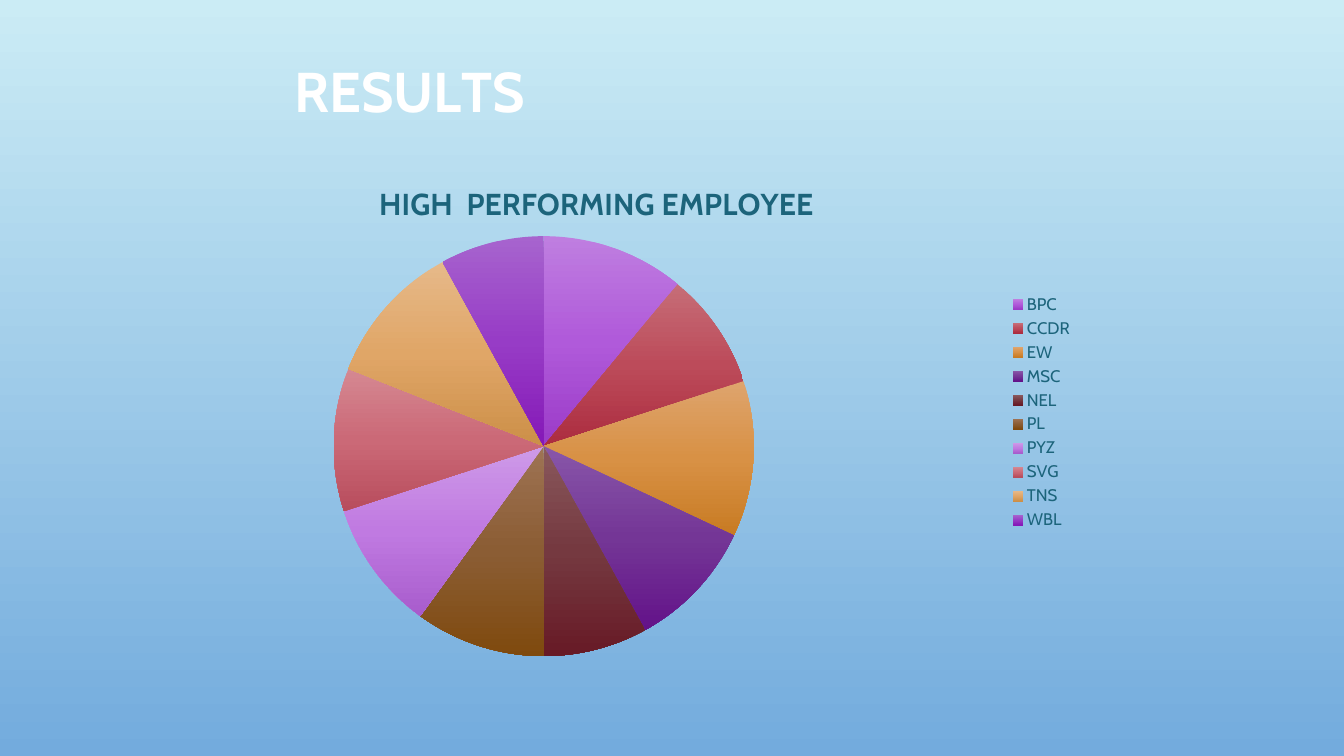
from copy import deepcopy
from typing import NamedTuple

from lxml import etree
from pptx import Presentation
from pptx.chart.data import CategoryChartData
from pptx.dml.color import RGBColor
from pptx.dml.fill import FillFormat
from pptx.enum import chart as ch, text
from pptx.oxml import parse_xml
from pptx.oxml.ns import nsdecls, qn
from pptx.util import Inches, Pt

FONT = "Cabin"
COLORS = {"title": "FFFFFF", "label": "1C647B", "sky": "CBECF5", "horizon": "73ABDD"}


class Slice(NamedTuple):
    name: str
    value: int
    gradient: tuple[str, str, str]


class Letters(NamedTuple):
    text: str
    spacing: float


SLICES = [
    Slice("BPC", 11, ("BF7EE0", "B05ADA", "9B3BC8")),
    Slice("CCDR", 9, ("C66D77", "BC4B5A", "AC2C3F")),
    Slice("EW", 12, ("DEA46D", "D89145", "C87B23")),
    Slice("MSC", 10, ("8856A9", "743696", "631289")),
    Slice("NEL", 8, ("89585C", "753940", "671A26")),
    Slice("PL", 10, ("9E7354", "8B5D34", "7F4A0E")),
    Slice("PYZ", 10, ("CE9AE8", "C07AE1", "A85CCC")),
    Slice("SVG", 11, ("D58892", "CB6977", "B84D5D")),
    Slice("TNS", 11, ("E6B989", "E0A667", "CC8F48")),
    Slice("WBL", 8, ("A764CE", "973CC6", "8518B7")),
]
HEADING = [Letters("R", 0), Letters("E", -0.4), Letters("S", 0.1),
           Letters("U", -0.3), Letters("L", -4), Letters("TS", 0)]


def style_font(font, size: float, color: str, bold: bool = False) -> None:
    font.name, font.size, font.bold = FONT, Pt(size), bold
    font.color.rgb = RGBColor.from_string(color)


def color_stops(fill: FillFormat, colors: tuple[str, ...]) -> None:
    """Spread the colours evenly, from top to bottom."""
    fill.gradient_angle = 270
    for i, (stop, color) in enumerate(zip(fill.gradient_stops, colors)):
        stop.position = i / (len(colors) - 1)
        stop.color.rgb = RGBColor.from_string(color)


def manual_layout(x: float, y: float, w: float = 0, h: float = 0) -> etree._Element:
    """Layout in fractions of the chart; without a size only the place is set."""
    target = '<c:layoutTarget val="inner"/>' if w else ""
    size = f'<c:w val="{w}"/><c:h val="{h}"/>' if w else ""
    return parse_xml(
        f'<c:layout {nsdecls("c")}><c:manualLayout>{target}<c:xMode val="edge"/>'
        f'<c:yMode val="edge"/><c:x val="{x}"/><c:y val="{y}"/>{size}'
        "</c:manualLayout></c:layout>")


def add_heading(slide) -> None:
    box = slide.shapes.add_textbox(Inches(2.31), Inches(0.52), Inches(3.51), Inches(0.83))
    tf = box.text_frame
    tf.word_wrap = True
    tf.vertical_anchor = text.MSO_ANCHOR.MIDDLE
    tf.margin_left = tf.margin_right = tf.margin_top = tf.margin_bottom = 0
    p = tf.paragraphs[0]
    p.alignment = text.PP_ALIGN.CENTER
    p.line_spacing = 0.9
    style_font(p.font, 40, COLORS["title"], bold=True)
    for letters in HEADING:
        r = p.add_run()
        r.text = letters.text
        r.font.size = Pt(40)
        r.font._element.set("spc", str(round(letters.spacing * 100)))


def add_pie(slide) -> None:
    data = CategoryChartData()
    data.categories = [s.name for s in SLICES]
    data.add_series("Series 1", [s.value for s in SLICES])
    chart = slide.shapes.add_chart(
        ch.XL_CHART_TYPE.PIE, Inches(0.83), Inches(1.5), Inches(9.92), Inches(5.18), data).chart
    style_font(chart.font, 10, "000000")

    chart.has_title = True
    tf = chart.chart_title.text_frame
    tf.text = "HIGH  PERFORMING EMPLOYEE"
    style_font(tf.paragraphs[0].font, 21.6, COLORS["label"], bold=True)

    chart.has_legend = True
    chart.legend.position = ch.XL_LEGEND_POSITION.RIGHT
    chart.legend.include_in_layout = False
    style_font(chart.legend.font, 12, COLORS["label"])

    plot = chart.plots[0]
    plot.vary_by_categories = True
    points = plot.series[0].points
    for i in range(len(SLICES)):
        points[i].format.fill.gradient()
        points[i].format.line.fill.background()
    for stops in chart.element.iter(qn("a:gsLst")):
        stops.insert(1, deepcopy(stops[0]))
    for i, item in enumerate(SLICES):
        color_stops(points[i].format.fill, item.gradient)

    root = chart.element.find(qn("c:chart"))
    root.addnext(parse_xml(
        f'<c:spPr {nsdecls("c", "a")}><a:noFill/><a:ln><a:noFill/></a:ln></c:spPr>'))
    title, area = root.find(qn("c:title")), root.find(qn("c:plotArea"))
    for parent in (title, area):
        for old in parent.findall(qn("c:layout")):
            parent.remove(old)
    title.find(qn("c:tx")).addnext(manual_layout(0.29, 0.05))
    area.insert(0, manual_layout(0.25, 0.16, 0.42, 0.81))


def main() -> None:
    prs = Presentation()
    prs.slide_width, prs.slide_height = Inches(13.33), Inches(7.5)
    slide = prs.slides.add_slide(prs.slide_layouts[6])
    fill = slide.background.fill
    fill.gradient()
    color_stops(fill, (COLORS["sky"], COLORS["horizon"]))
    add_heading(slide)
    add_pie(slide)
    prs.save("out.pptx")


if __name__ == "__main__":
    main()
